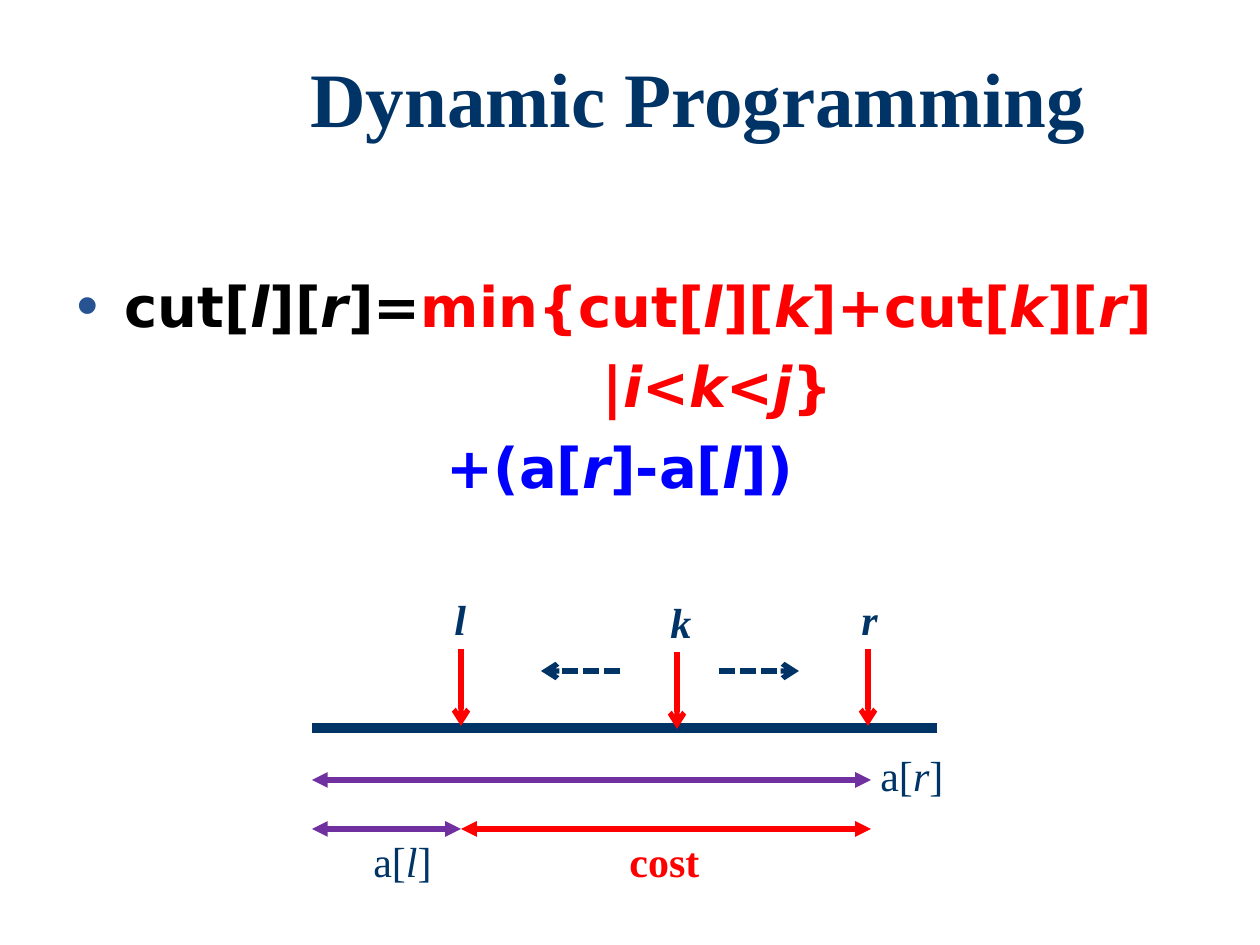
from lxml.etree import SubElement as Sub
from pptx import Presentation
from pptx.dml.color import RGBColor
from pptx.enum.dml import MSO_LINE
from pptx.enum.shapes import MSO_CONNECTOR
from pptx.enum.text import MSO_ANCHOR, MSO_AUTO_SIZE, PP_ALIGN
from pptx.oxml.ns import qn
from pptx.util import Emu, Pt

NAVY = RGBColor(0x00, 0x33, 0x66)
RED = RGBColor(0xFF, 0x00, 0x00)
BLUE = RGBColor(0x00, 0x00, 0xFF)
BLACK = RGBColor(0x00, 0x00, 0x00)
PURPLE = RGBColor(0x70, 0x30, 0xA0)
DOT = RGBColor(0x27, 0x53, 0x93)
SERIF, SANS = "Times New Roman", "DejaVu Sans"

# Key positions on the stick, in px
START, LEFT, CUT, RIGHT, END = 312, 461, 677, 868, 937
SPAN = 871


def px(n):
    return Emu(round(n * 914400 / 126))


def place(shape, x, y, w, h):
    shape.left, shape.top, shape.width, shape.height = map(px, (x, y, w, h))


def write(para, text, size, color, face=SERIF, bold=True):
    """Add runs; the parts between asterisks are italic."""
    for i, part in enumerate(text.split("*")):
        if part:
            run = para.add_run()
            run.text = part
            font = run.font
            font.name, font.size = face, Pt(size)
            font.bold, font.italic = bold, i % 2 == 1
            font.color.rgb = color


def indent(para, left, first=0, dot=False):
    props = para._p.get_or_add_pPr()
    props.set("marL", str(px(left)))
    props.set("indent", str(px(first)))
    if dot:
        tint = Sub(props, qn("a:buClr"))
        Sub(tint, qn("a:srgbClr"), val=str(DOT))
        Sub(props, qn("a:buSzPct"), val="110000")
        Sub(props, qn("a:buChar"), char="•")
    else:
        Sub(props, qn("a:buNone"))


def add_title(slide, text):
    title = slide.shapes.title
    place(title, 194, 45, 1008, 116)
    frame = title.text_frame
    frame.auto_size = MSO_AUTO_SIZE.NONE
    frame.vertical_anchor = MSO_ANCHOR.MIDDLE
    para = frame.paragraphs[0]
    para.alignment, para.line_spacing = PP_ALIGN.CENTER, 0.9
    write(para, text, 44, NAVY)


def add_body(slide, rows):
    body = slide.placeholders[1]
    place(body, 64, 265, 1171, 277)
    frame = body.text_frame
    frame.auto_size = MSO_AUTO_SIZE.NONE
    for i, (left, parts) in enumerate(rows):
        para = frame.add_paragraph() if i else frame.paragraphs[0]
        para.space_before = Pt(7.5 if i else 0)
        indent(para, left, 0 if i else -left, dot=i == 0)
        for text, color in parts:
            write(para, text, 32, color, SANS)


def add_label(slide, x, y, w, text, color=NAVY, bold=True):
    box = slide.shapes.add_textbox(px(x), px(y), px(w), px(63))
    frame = box.text_frame
    frame.word_wrap = False
    frame.auto_size = MSO_AUTO_SIZE.SHAPE_TO_FIT_TEXT
    write(frame.paragraphs[0], text, 24, color, bold=bold)


def add_line(slide, x1, y1, x2, y2, color, width=3, head=None, tail=None,
             dash=None):
    line = slide.shapes.add_connector(
        MSO_CONNECTOR.STRAIGHT, px(x1), px(y1), px(x2), px(y2))
    line.line.color.rgb, line.line.width = color, Pt(width)
    if dash:
        line.line.dash_style = dash
    stroke = line.line._get_or_add_ln()
    for tag, kind in (("a:headEnd", head), ("a:tailEnd", tail)):
        if kind:
            Sub(stroke, qn(tag), type=kind)
    Sub(line._element.spPr, qn("a:effectLst"))


def add_stick(slide):
    # Stick with its cut marks
    add_line(slide, START, 728, END, 728, NAVY, 6)
    for name, x, drop, w in (("l", LEFT, 0, 37), ("r", RIGHT, 0, 42),
                             ("k", CUT, 3, 47)):
        add_line(slide, x, 649 + drop, x, 726 + drop, RED, tail="arrow")
        add_label(slide, x - 19, 587 + drop, w, f"*{name}*")

    # Directions in which k moves
    for x1, x2 in ((620, 541), (719, 799)):
        add_line(slide, x1, 671, x2, 671, NAVY, tail="arrow",
                 dash=MSO_LINE.SQUARE_DOT)

    # Lengths
    for x1, x2, y, color in ((START, SPAN, 780, PURPLE),
                             (START, LEFT, 829, PURPLE),
                             (LEFT, SPAN, 829, RED)):
        add_line(slide, x1, y, x2, y, color, head="triangle", tail="triangle")
    add_label(slide, 868, 743, 89, "a[*r*]", bold=False)
    add_label(slide, 361, 829, 87, "a[*l*]", bold=False)
    add_label(slide, 617, 829, 96, "cost", RED)


def main():
    deck = Presentation()
    deck.slide_width, deck.slide_height = px(1260), px(945)
    slide = deck.slides.add_slide(deck.slide_layouts[1])
    add_title(slide, "Dynamic Programming")
    add_body(slide, [
        (48, [("cut[*l*][*r*]=", BLACK),
              ("min{cut[*l*][*k*]+cut[*k*][*r*]", RED)]),
        (526, [("|*i<k<j*}", RED)]),
        (370, [("+(a[*r*]-a[*l*])", BLUE)]),
    ])
    add_stick(slide)
    deck.save("out.pptx")


if __name__ == "__main__":
    main()
